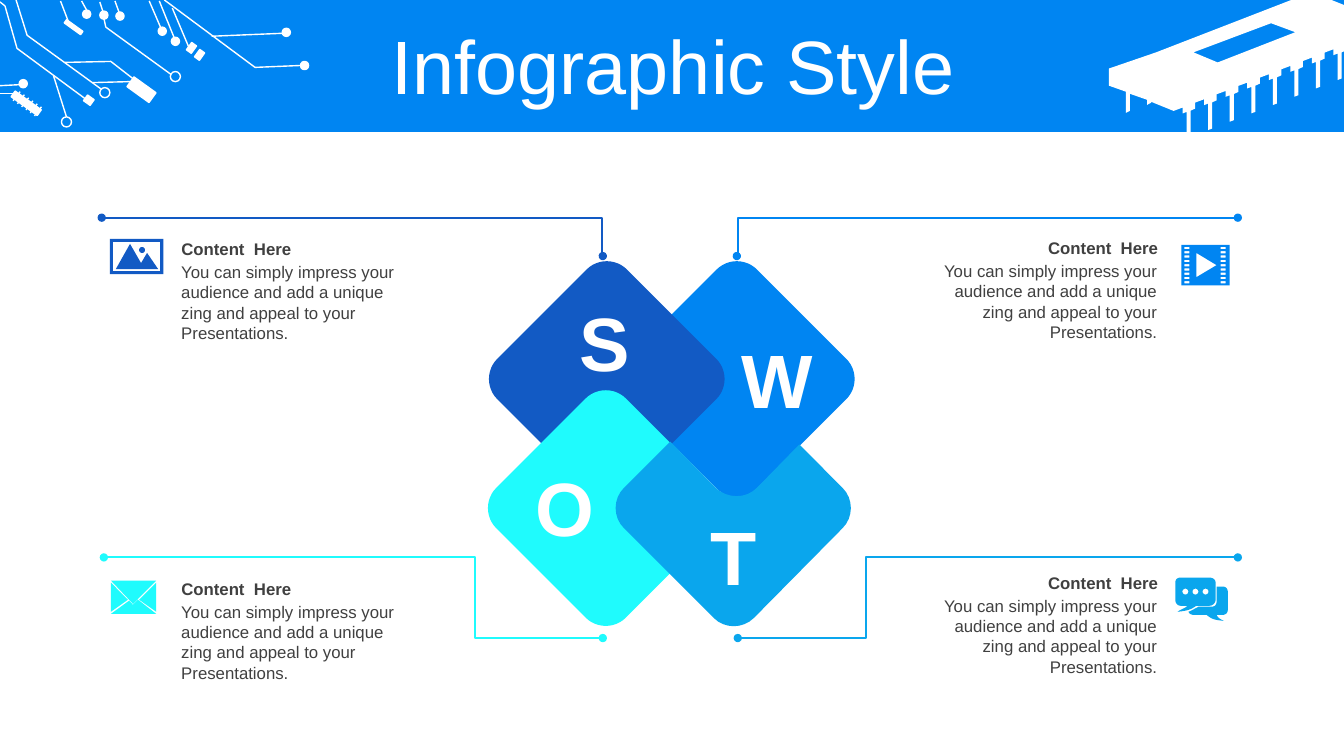
import pptx
import pptx.dml.color
import pptx.enum.shapes
import pptx.enum.text
import pptx.oxml
import pptx.oxml.ns
import pptx.util

Pt = pptx.util.Pt
KIND = pptx.enum.shapes.MSO_SHAPE
LINK = pptx.enum.shapes.MSO_CONNECTOR
ALIGN = pptx.enum.text.PP_ALIGN
ANCHOR = pptx.enum.text.MSO_ANCHOR
HUES = {"white": "FFFFFF", "blue": "0085F2", "navy": "125AC4",
        "cyan": "1FFBFD", "sky": "0AA6ED", "gray": "404040"}
HEAD = "Content  Here"
BODY = ("You can simply impress your audience and add a unique zing "
        "and appeal to your Presentations.")
TILT = 35.7

# Circuit art: straight wires, bent wires, dots, rings and chips
WIRES = [(43.2, 0.7, 49, 15.8), (58.3, 0.7, 61.9, 7.2), (71.3, 1.4, 73.4, 7.9),
         (82.1, 0.7, 85, 8.6), (106.6, 0.7, 115.9, 22.3),
         (113.8, 0.7, 124.6, 27.4), (151.2, 25.9, 201.6, 23.8),
         (123.1, 5.8, 134.6, 33.1), (0, 61.2, 13.7, 60.5), (0, 67, 10.1, 67),
         (38.2, 54, 47.5, 83.5), (66.2, 59, 93.6, 58.3)]
BENDS = [[(117.4, 0), (182.2, 48.2), (215.3, 46.8)],
         [(11.5, 0), (19.4, 25.2), (72, 63.4)],
         [(0, 1.4), (3.6, 4.3), (12.2, 34.6), (61.9, 71.3)],
         [(46.1, 44.6), (79.2, 43.9), (95, 56.2)],
         [(74.2, 13), (75.6, 19.4), (122.4, 53.3)]]
DOTS = [(214.6, 43.9), (201.6, 20.2), (59, 7.2), (71.3, 7.9), (82.8, 8.6),
        (13.7, 56.9), (122.4, 26.6), (113, 19.4)]
RINGS = [(121.7, 51.1), (71.3, 62.6), (43.9, 83.5)]
CHIPS = [(91.4, 59.8, 19.4, 8.6), (45.4, 18, 14.4, 2.9), (60.5, 69.1, 5.8, 5),
         (134.6, 31, 4.3, 6.5), (140.4, 36, 4.3, 6.5), (7.2, 71.3, 23, 5)]

# Outlines: a pair is a corner, six numbers are a curve
TILE = [(478.8, 315.4), (511.2, 348.5), (519.8, 356.4, 532.8, 356.4, 540.7, 348.5),
        (571, 317.5), (601.9, 348.5), (609.8, 356.4, 609.8, 369.4, 601.9, 377.3),
        (538.6, 441.4), (530.6, 449.3, 517.7, 449.3, 509.8, 441.4),
        (445.7, 377.3), (437.8, 369.4, 437.8, 356.4, 445.7, 348.5)]
MAIL = [[(98.6, 428.4), (111.6, 438.5), (79.2, 438.5), (92.2, 429.1), (95, 432)],
        [(111.6, 416.2), (111.6, 437), (99.4, 428.4)],
        [(79.2, 416.2), (91.4, 428.4), (79.2, 437)],
        [(79.2, 414.7), (111.6, 414.7), (95, 431.3)]]
FRONT = [(843.1, 412.6), (864, 412.6), (866.2, 412.6, 868.3, 414, 868.3, 416.2),
         (868.3, 428.4), (868.3, 430.6, 866.2, 432.7, 864, 432.7),
         (854.6, 432.7), (850.3, 435.6, 848.2, 436.3, 841, 437),
         (845.3, 434.2, 846, 434.9, 848.2, 432.7), (843.1, 432.7),
         (841, 432.7, 839.5, 430.6, 839.5, 428.4), (839.5, 416.2),
         (839.5, 414, 841, 412.6, 843.1, 412.6)]
BACK = [(869, 419), (873.4, 419), (875.5, 419, 877, 420.5, 877, 422.6),
        (877, 435.6), (877, 437.8, 875.5, 439.2, 873.4, 439.2), (869, 439.2),
        (869.8, 440.6, 869.8, 441.4, 874.1, 443.5),
        (866.9, 442.8, 865.4, 442.1, 861.8, 439.2), (852.5, 439.2),
        (851, 439.2, 849.6, 438.5, 848.9, 437),
        (851, 436.3, 853.2, 434.9, 856.1, 433.4), (865.4, 433.4),
        (867.6, 433.4, 869, 432, 869, 429.8)]
PEAKS = [(92.9, 174.2), (100.8, 187.9), (105.1, 180.7), (113, 192.2), (82.8, 192.2)]
PLAY = [(854.6, 180.7), (854.6, 198), (869, 189.4)]


def rgb(hue):
    return pptx.dml.color.RGBColor.from_string(HUES[hue])


def paint(shape, fill=None, line=None):
    shape.shadow.inherit = False
    if fill:
        shape.fill.solid()
        shape.fill.fore_color.rgb = rgb(fill)
    else:
        shape.fill.background()
    if line:
        shape.line.color.rgb = rgb(line)
        shape.line.width = Pt(1)
    else:
        shape.line.fill.background()


def block(slide, kind, box, turn=0, **look):
    shape = slide.shapes.add_shape(kind, *map(Pt, box))
    shape.rotation = turn
    paint(shape, **look)
    return shape


def trace(steps):
    """Turn corners and curves into a list of points."""
    dots = []
    for step in steps:
        if len(step) == 2:
            dots.append(step)
            continue
        ctrl = [dots[-1], step[:2], step[2:4], step[4:]]
        for t in (n / 8 for n in range(1, 9)):
            mix = ((1 - t) ** 3, 3 * t * (1 - t) ** 2, 3 * t * t * (1 - t), t ** 3)
            dots.append(tuple(sum(m * p[i] for m, p in zip(mix, ctrl)) for i in (0, 1)))
    return dots


def free(slide, paths, close=True, **look):
    paths = [[tuple(map(Pt, dot)) for dot in trace(path)] for path in paths]
    pen = slide.shapes.build_freeform(*paths[0][0], scale=1.0)
    for num, path in enumerate(paths):
        if num:
            pen.move_to(*path[0])
        pen.add_line_segments(path[1:], close=close)
    paint(pen.convert_to_shape(), **look)


def rect(x, y, w, h):
    return [(x, y), (x + w, y), (x + w, y + h), (x, y + h)]


def disc(x, y, r):
    k = 0.55 * r
    return [(x + r, y), (x + r, y + k, x + k, y + r, x, y + r),
            (x - k, y + r, x - r, y + k, x - r, y),
            (x - r, y - k, x - k, y - r, x, y - r),
            (x + k, y - r, x + r, y - k, x + r, y)]


def wire(slide, ends, hue, kind=LINK.STRAIGHT, width=1, bend=None):
    link = slide.shapes.add_connector(kind, *map(Pt, ends))
    link.line.color.rgb = rgb(hue)
    link.line.width = Pt(width)
    props = link.element.spPr
    make, name = pptx.oxml.parse_xml, pptx.oxml.ns.nsdecls("a")
    if bend is not None:
        for tag in ("headEnd", "tailEnd"):
            link.line._get_or_add_ln().append(make(f'<a:{tag} {name} type="oval"/>'))
        shape = props.find(pptx.oxml.ns.qn("a:prstGeom"))
        for old in list(shape):
            shape.remove(old)
        shape.append(make(f'<a:avLst {name}><a:gd name="adj1" fmla="val {bend}"/></a:avLst>'))
    props.append(make(f"<a:effectLst {name}/>"))


def write(frame, text, size=12, hue="gray", bold=False, align=ALIGN.LEFT,
          anchor=ANCHOR.TOP, before=0, space=1.0):
    frame.word_wrap = True
    frame.vertical_anchor = anchor
    para = frame.paragraphs[0]
    para.alignment, para.space_before, para.line_spacing = align, Pt(before), space
    run = para.add_run()
    run.text = text
    run.font.name, run.font.size, run.font.bold = "Arial", Pt(size), bold
    run.font.color.rgb = rgb(hue)


def label(slide, box, text, **form):
    write(slide.shapes.add_textbox(*map(Pt, box)).text_frame, text, **form)


def chip(slide):
    pin = [(0, 0), (0, 18.7), (-2.9, 19.8), (-2.9, 0.9), (-5.8, 2),
           (-5.8, -2.2), (-12.2, 0.2), (-12.2, 4.5)]
    pins = [(958.3 - 15.4 * n + x, 37.4 + 5.95 * n + y) for n in range(8) for x, y in pin]
    edge = [(822.2, 72.7), (822.2, 73.4), (819.4, 74.9), (819.4, 71.3), (807.1, 67),
            (807.1, 79.2), (804.2, 80.6), (804.2, 65.5), (792, 61.2), (792, 49),
            (825.8, 37.4), (922.3, 0), (951.1, 0), (960, 3.6), (960, 36.7)]
    hole = [(907.9, 16.6), (852.5, 37.4), (869.8, 44.6), (925.2, 23)]
    free(slide, [hole, pins[:-1] + edge], fill="white")


def board(slide):
    teeth = [(9.4 + 3.05 * n, 72 + 2.16 * n, 14.4 + 3.05 * n, 65.5 + 2.16 * n)
             for n in range(6)]
    for box in CHIPS:
        block(slide, KIND.RECTANGLE, box, TILT, fill="white", line="white")
    for spot in DOTS:
        block(slide, KIND.OVAL, (*spot, 5.8, 5.8), fill="white", line="white")
    for spot in RINGS:
        block(slide, KIND.OVAL, (*spot, 7.2, 7.2), line="white")
    for ends in WIRES + teeth:
        wire(slide, ends, "white")
    for bend in BENDS:
        free(slide, [bend], close=False, line="white")


def icons(slide):
    free(slide, MAIL, fill="cyan")
    eyes = [disc(x, 422.6, 2.1) for x in (846.7, 853.9, 861.1)]
    free(slide, eyes + [BACK, FRONT], fill="sky")
    free(slide, [disc(101.5, 178.6, 2.1), PEAKS, rect(80.6, 172.8, 33.8, 20.9),
                 rect(78.5, 170.6, 38.2, 25.2)], fill="navy")
    holes = [rect(x, 176.4 + 3.06 * n, 3.6, 1.6) for n in range(9) for x in (846, 871.9)]
    free(slide, holes + [PLAY, rect(843.8, 175, 34.6, 28.8)], fill="blue")


def main():
    deck = pptx.Presentation()
    deck.slide_width, deck.slide_height = Pt(960), Pt(540)
    slide = deck.slides.add_slide(deck.slide_layouts[5])

    # Banner with its art, then the title in front of it
    block(slide, KIND.RECTANGLE, (0, 0, 960, 94.3), fill="blue")
    chip(slide)
    board(slide)
    title = slide.shapes.title
    title.left, title.top, title.width, title.height = map(Pt, (25.2, 21.6, 911.5, 56.9))
    write(title.text_frame, "Infographic Style", size=54, hue="white",
          align=ALIGN.CENTER, anchor=ANCHOR.MIDDLE, before=10, space=0.9)
    title.element.getparent().append(title.element)

    # Diamonds and letters
    for x, y, hue in ((460.8, 205.2, "blue"), (367.9, 205.2, "navy"), (367.2, 297.4, "cyan")):
        tile = block(slide, KIND.ROUNDED_RECTANGLE, (x, y, 131, 131), 315, fill=hue)
        tile.adjustments[0] = 0.156
    free(slide, [TILE], fill="sky")
    for x, y, mark in ((389.5, 208.1, "S"), (512.6, 234, "W"),
                       (360.7, 325.4, "O"), (481.7, 360.7, "T")):
        label(slide, (x, y, 85, 72.7), mark, size=54, hue="white", bold=True,
              align=ALIGN.CENTER)

    # Four notes
    for x, y, wide, side in ((122.4, 167, 176, ALIGN.LEFT), (122.4, 409.7, 176, ALIGN.LEFT),
                             (662.4, 166.3, 172, ALIGN.RIGHT), (662.4, 405.4, 172, ALIGN.RIGHT)):
        label(slide, (x, y, wide, 21.6), HEAD, bold=True, align=side, anchor=ANCHOR.MIDDLE)
        label(slide, (x, y + 16.6, wide - 0.7, 65.5), BODY, align=side)

    # Leader lines and icons
    for ends, hue, bend in (((526.3, 182.9, 884.2, 155.5), "blue", 200),
                            ((527, 455.8, 884.2, 398.2), "sky", 25700),
                            ((430.6, 182.9, 72.7, 155.5), "navy", 200),
                            ((430.6, 455.8, 74.2, 398.2), "cyan", 25700)):
        wire(slide, ends, hue, LINK.ELBOW, 1.5, bend)
    icons(slide)
    deck.save("out.pptx")


if __name__ == "__main__":
    main()
